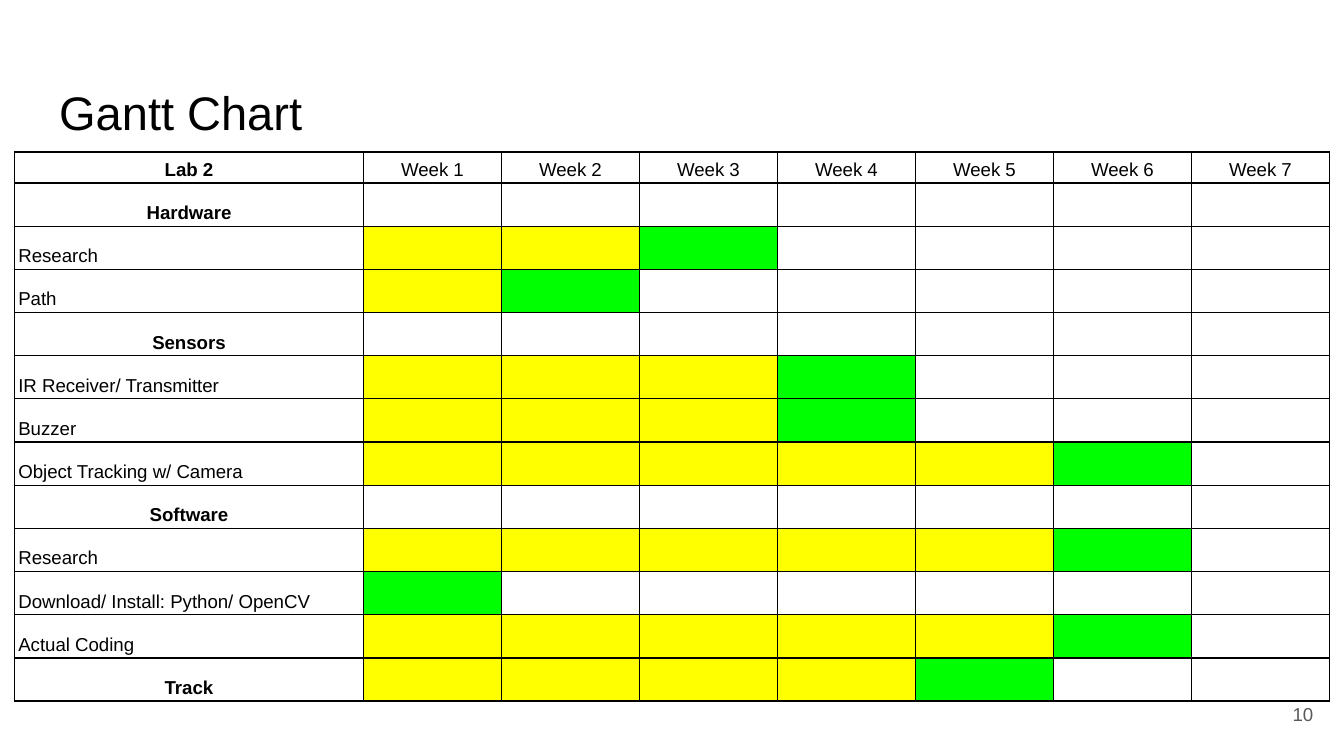
from dataclasses import dataclass

from lxml import etree
from pptx import Presentation
from pptx.dml.color import RGBColor
from pptx.enum.text import MSO_ANCHOR, PP_ALIGN
from pptx.oxml.ns import qn
from pptx.util import Pt

LEFT, CENTER, RIGHT = PP_ALIGN.LEFT, PP_ALIGN.CENTER, PP_ALIGN.RIGHT
MIDDLE, BOTTOM = MSO_ANCHOR.MIDDLE, MSO_ANCHOR.BOTTOM
TITLE_ONLY = 5


@dataclass(frozen=True)
class Theme:
    font: str = "Arial"
    text: str = "000000"
    muted: str = "595959"
    border: str = "000000"
    blank: str = "FFFFFF"
    progress: str = "FFFF00"
    finish: str = "00FF00"
    title_size: float = 25.2
    body_size: float = 10
    border_width: float = 0.75
    line_spacing: float = 1.15


WEEKS = 7
# Task, week in which it finishes (0 for none), whether it is a heading
TASKS = [
    ("Hardware", 0, True),
    ("Research", 3, False),
    ("Path", 2, False),
    ("Sensors", 0, True),
    ("IR Receiver/ Transmitter", 4, False),
    ("Buzzer", 4, False),
    ("Object Tracking w/ Camera", 6, False),
    ("Software", 0, True),
    ("Research", 6, False),
    ("Download/ Install: Python/ OpenCV", 1, False),
    ("Actual Coding", 6, False),
    ("Track", 5, True),
]


class SlideBuilder:
    def __init__(self, slide, theme):
        self.slide = slide
        self.theme = theme

    def add_run(self, paragraph, text, size, color, bold=False):
        run = paragraph.add_run()
        run.text = text
        run.font.name = self.theme.font
        run.font.size = Pt(size)
        run.font.bold = bold
        run.font.color.rgb = RGBColor.from_string(color)

    def fill_frame(self, shape, text, size, color, align, anchor):
        frame = shape.text_frame
        frame.word_wrap = True
        frame.vertical_anchor = anchor
        frame.margin_left = frame.margin_right = Pt(7.2)
        frame.margin_top = frame.margin_bottom = Pt(7.2)
        paragraph = frame.paragraphs[0]
        paragraph.alignment = align
        paragraph.line_spacing = 1.0
        self.add_run(paragraph, text, size, color)

    def title(self, text, left, top, width, height):
        shape = self.slide.shapes.title
        shape.left, shape.top = Pt(left), Pt(top)
        shape.width, shape.height = Pt(width), Pt(height)
        self.fill_frame(shape, text, self.theme.title_size, self.theme.text, LEFT, BOTTOM)

    def page_number(self, text, left, top, width, height):
        shape = self.slide.shapes.add_textbox(Pt(left), Pt(top), Pt(width), Pt(height))
        self.fill_frame(shape, text, self.theme.body_size, self.theme.muted, RIGHT, MIDDLE)

    def cell(self, cell, text="", color=None, bold=False, align=CENTER):
        theme = self.theme
        cell.vertical_anchor = BOTTOM
        cell.margin_left = cell.margin_right = Pt(2.1)
        cell.margin_top = cell.margin_bottom = Pt(1.4 if text else 0)
        if text:
            paragraph = cell.text_frame.paragraphs[0]
            paragraph.alignment = align
            paragraph.line_spacing = theme.line_spacing
            self.add_run(paragraph, text, theme.body_size, theme.text, bold)
        # Borders come before the fill in the cell properties
        properties = cell._tc.get_or_add_tcPr()
        for side in ("a:lnL", "a:lnR", "a:lnT", "a:lnB"):
            line = etree.SubElement(properties, qn(side), w=str(Pt(theme.border_width)))
            fill = etree.SubElement(line, qn("a:solidFill"))
            etree.SubElement(fill, qn("a:srgbClr"), val=theme.border)
        cell.fill.solid()
        cell.fill.fore_color.rgb = RGBColor.from_string(color or theme.blank)

    def gantt(self, heading, tasks, left, top, column_widths, row_heights):
        shape = self.slide.shapes.add_table(
            len(row_heights), len(column_widths), Pt(left), Pt(top),
            Pt(sum(column_widths)), Pt(sum(row_heights)))
        table = shape.table
        table.first_row = table.horz_banding = False
        for column, width in zip(table.columns, column_widths):
            column.width = Pt(width)
        for row, height in zip(table.rows, row_heights):
            row.height = Pt(height)

        # Header row
        self.cell(table.cell(0, 0), heading, bold=True)
        for week in range(1, len(column_widths)):
            self.cell(table.cell(0, week), f"Week {week}")

        # Task rows: in progress until the finishing week
        for row, (name, finish, is_heading) in enumerate(tasks, start=1):
            self.cell(table.cell(row, 0), name, bold=is_heading,
                      align=CENTER if is_heading else LEFT)
            for week in range(1, len(column_widths)):
                color = self.theme.blank
                if week < finish:
                    color = self.theme.progress
                elif week == finish:
                    color = self.theme.finish
                self.cell(table.cell(row, week), color=color)


def main():
    presentation = Presentation()
    presentation.slide_width, presentation.slide_height = Pt(720), Pt(405)
    slide = presentation.slides.add_slide(presentation.slide_layouts[TITLE_ONLY])
    builder = SlideBuilder(slide, Theme())

    builder.title("Gantt Chart", 24.5, 36.7, 671, 45.4)
    builder.page_number("10", 667.4, 367.2, 43.2, 31)
    builder.gantt("Lab 2", TASKS, 7.75, 81.4,
                  [187] + [73.93] * WEEKS, [16.2] + [23.14] * len(TASKS))

    presentation.save("out.pptx")


if __name__ == "__main__":
    main()
